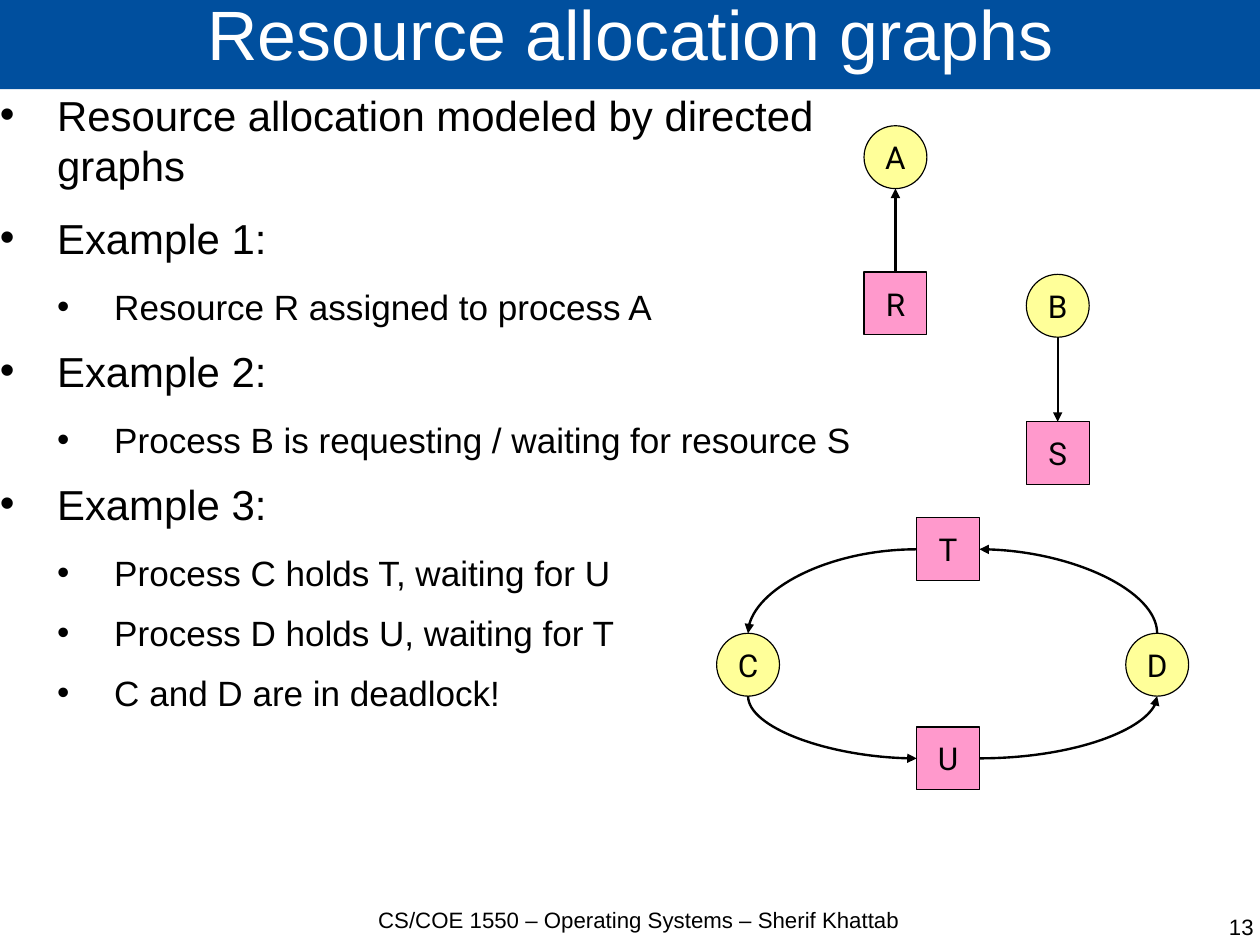
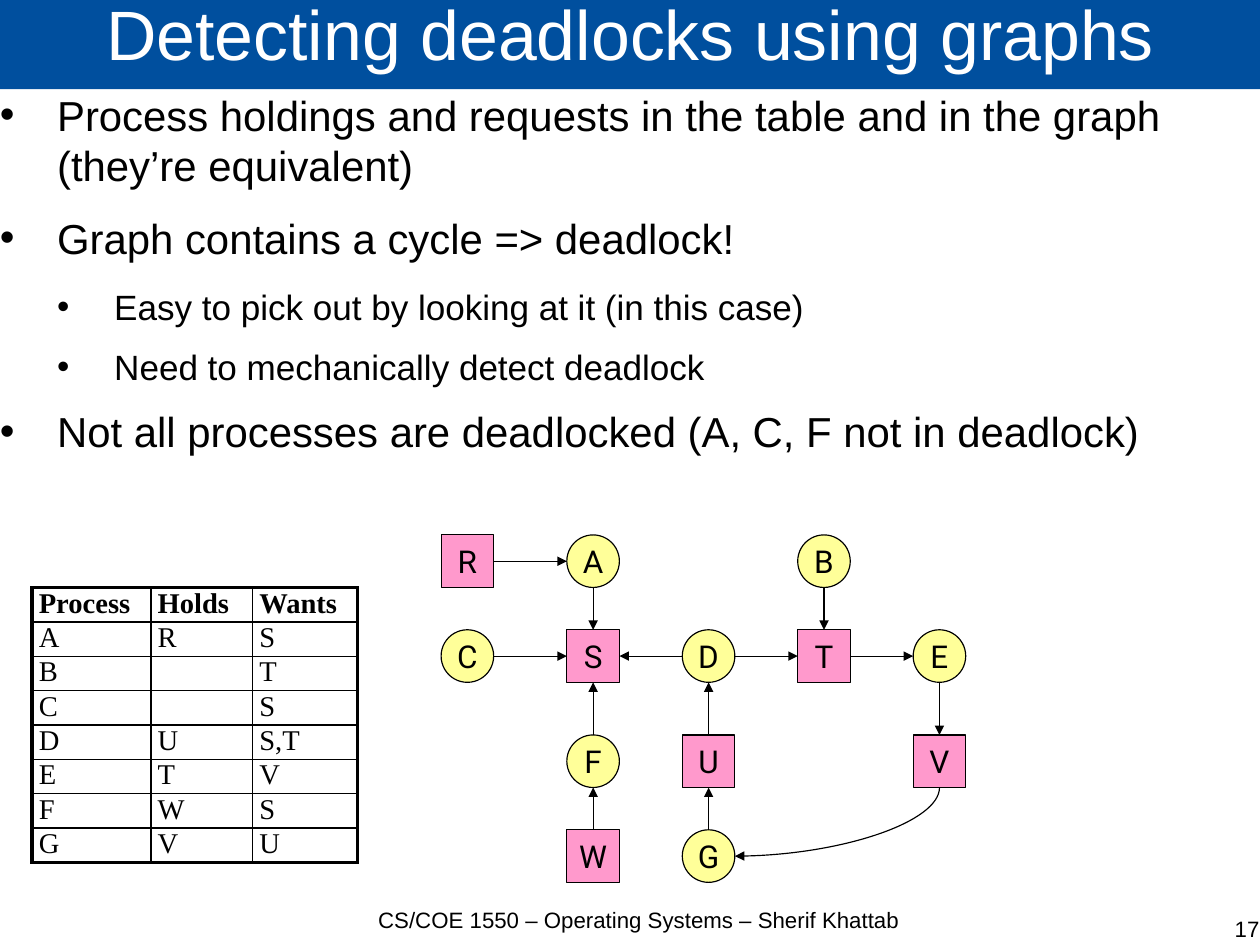
from dataclasses import dataclass
from lxml.etree import SubElement
from pptx import Presentation
from pptx.dml.color import RGBColor
from pptx.enum.shapes import MSO_CONNECTOR as CXN, MSO_SHAPE as SHP
from pptx.enum.text import MSO_ANCHOR as ANC, MSO_AUTO_SIZE as FIT, PP_ALIGN as AL
from pptx.oxml.ns import qn
from pptx.util import Emu, Inches as I, Pt


@dataclass(frozen=True)
class Theme:
    band: str = "004F9E"
    white: str = "FFFFFF"
    ink: str = "000000"
    process: str = "FFFF99"
    resource: str = "FF99CC"
    sans: str = "Arial"
    serif: str = "Times New Roman"
    label: str = "Roboto"
    title_size: float = 44
    body_sizes: tuple = (26.4, 22.1)
    body_gaps: tuple = (14.2, 11.4)
    label_size: float = 19.8
    cell_size: float = 18
    footer_size: float = 14


T = Theme()
FULL_W = 11.04
PROCESSES = "ABCDEFG"
SIDES = {"t": (0.5, 0), "l": (0, 0.5), "b": (0.5, 1), "r": (1, 0.5)}
STRAIGHT = ("tb", "bt", "lr", "rl")

cols = [3.86] + [4.96 + 1.01 * i for i in range(4)]
rows = [4.68, 5.51, 6.43, 7.26]
grid = ["RA.B.", "CSDTE", ".FU.V", ".WG.."]

holdings = [
    ("Process", "Holds", "Wants"),
    ("A", "R", "S"),
    ("B", "", "T"),
    ("C", "", "S"),
    ("D", "U", "S,T"),
    ("E", "T", "V"),
    ("F", "W", "S"),
    ("G", "V", "U"),
]

slides = [
    dict(
        title="Resource allocation graphs",
        number=("13", 8.44, 7.99, 2.53),
        body_w=7.46,
        body=[
            (0, "Resource allocation modeled by directed graphs"),
            (0, "Example 1:"),
            (1, "Resource R assigned to process A"),
            (0, "Example 2:"),
            (1, "Process B is requesting / waiting for resource S"),
            (0, "Example 3:"),
            (1, "Process C holds T, waiting for U"),
            (1, "Process D holds U, waiting for T"),
            (1, "C and D are in deadlock!"),
        ],
        node=0.55,
        weight=1.5,
        nodes={"A": (7.56, 1.1), "R": (7.56, 2.38), "B": (8.98, 2.4), "S": (8.98, 3.69),
               "T": (8.02, 4.53), "U": (8.02, 6.36), "C": (6.27, 5.54), "D": (9.85, 5.54)},
        edges=["RA tb", "BS bt", "TC lt", "DT tr", "UD rb", "CU bl"],
        table=None,
    ),
    dict(
        title="Detecting deadlocks using graphs",
        number=("17", 5.98, 8.01, 5.04),
        body_w=FULL_W,
        body=[
            (0, "Process holdings and requests in the table and in the graph (they’re equivalent)"),
            (0, "Graph contains a cycle => deadlock!"),
            (1, "Easy to pick out by looking at it (in this case)"),
            (1, "Need to mechanically detect deadlock"),
            (0, "Not all processes are deadlocked (A, C, F not in deadlock)"),
        ],
        node=0.46,
        weight=0.75,
        nodes={name: (x, y) for y, line in zip(rows, grid)
               for x, name in zip(cols, line) if name != "."},
        edges=["RA rl", "AS bt", "CS rl", "FS tb", "WF tb", "DS lr", "DT rl", "TE rl",
               "EV bt", "BT bt", "VG br", "GU tb", "UD tb"],
        table=holdings,
    ),
]


def write(p, text, size, font=T.sans, color=T.ink, bold=False):
    r = p.add_run()
    r.text = text
    r.font.size, r.font.name, r.font.bold = Pt(size), font, bold
    r.font.color.rgb = RGBColor.from_string(color)


def add_text(s, x, y, w, h):
    tf = s.shapes.add_textbox(I(x), I(y), I(w), I(h)).text_frame
    tf.word_wrap = True
    tf.margin_left = tf.margin_right = tf.margin_top = tf.margin_bottom = 0
    return tf


prs = Presentation()
prs.slide_width, prs.slide_height = Emu(10080625), Emu(7559675)

for page in slides:
    s = prs.slides.add_slide(prs.slide_layouts[5])

    sp = s.shapes.title
    sp.left, sp.top, sp.width, sp.height = I(0), I(-0.02), I(FULL_W), I(0.8)
    sp.fill.solid()
    sp.fill.fore_color.rgb = RGBColor.from_string(T.band)
    tf = sp.text_frame
    tf.margin_left = tf.margin_right = tf.margin_top = tf.margin_bottom = 0
    tf.vertical_anchor, tf.auto_size = ANC.MIDDLE, FIT.NONE
    p = tf.paragraphs[0]
    p.alignment, p.line_spacing = AL.CENTER, 0.69
    write(p, page["title"], T.title_size, color=T.white)

    tf = add_text(s, 0, 0.78, page["body_w"], 7.18)
    for i, (level, text) in enumerate(page["body"]):
        p = tf.add_paragraph() if i else tf.paragraphs[0]
        p.level, p.space_after = level, Pt(T.body_gaps[level])
        pPr = p._p.get_or_add_pPr()
        pPr.set("marL", str(I(0.5 * (level + 1))))
        pPr.set("indent", str(I(-0.5)))
        SubElement(SubElement(pPr, qn("a:buClr")), qn("a:srgbClr"), val=T.ink)
        SubElement(pPr, qn("a:buFont"), typeface=T.sans)
        SubElement(pPr, qn("a:buChar"), char="•")
        write(p, text, T.body_sizes[level])

    p = add_text(s, 3.07, 7.93, 5.04, 0.55).paragraphs[0]
    p.alignment = AL.CENTER
    write(p, "CS/COE 1550 – Operating Systems – Sherif Khattab", T.footer_size)
    number, x, y, w = page["number"]
    p = add_text(s, x, y, w, 0.55).paragraphs[0]
    p.alignment = AL.RIGHT
    write(p, number, T.footer_size)

    size = page["node"]
    ids = {}
    for name, (x, y) in page["nodes"].items():
        is_process = name in PROCESSES
        sp = s.shapes.add_shape(SHP.OVAL if is_process else SHP.RECTANGLE,
                                I(x), I(y), I(size), I(size))
        sp.shadow.inherit = False
        sp.fill.solid()
        sp.fill.fore_color.rgb = RGBColor.from_string(T.process if is_process else T.resource)
        sp.line.color.rgb = RGBColor.from_string(T.ink)
        sp.line.width = Pt(0.75)
        tf = sp.text_frame
        tf.word_wrap, tf.vertical_anchor = False, ANC.MIDDLE
        p = tf.paragraphs[0]
        p.alignment = AL.CENTER
        write(p, name, T.label_size, T.label)
        ids[name] = sp.shape_id

    for edge in page["edges"]:
        ends, sides = edge.split()
        (x1, y1), (x2, y2) = [
            [I(at + size * share) for at, share in zip(page["nodes"][name], SIDES[side])]
            for name, side in zip(ends, sides)]
        straight = sides in STRAIGHT
        cxn = s.shapes.add_connector(CXN.STRAIGHT if straight else CXN.CURVE, x1, y1, x2, y2)
        cxn.line.color.rgb = RGBColor.from_string(T.ink)
        cxn.line.width = Pt(page["weight"])
        spPr = cxn._element.spPr
        SubElement(spPr.find(qn("a:ln")), qn("a:tailEnd"), type="triangle")
        SubElement(spPr, qn("a:effectLst"))
        glue = cxn._element.find(".//" + qn("p:cNvCxnSpPr"))
        for tag, name, side in zip(("a:stCxn", "a:endCxn"), ends, sides):
            site = list(SIDES).index(side) * (2 if name in PROCESSES else 1)
            SubElement(glue, qn(tag), id=str(ids[name]), idx=str(site))
        if straight:
            continue
        spPr.find(qn("a:prstGeom")).set("prst", "curvedConnector2")
        dx, dy = x2 - x1, y2 - y1
        w, h = abs(dx), abs(dy)
        if sides[0] in "lr":
            turn, flip_h, flip_v = 180 * (dx < 0), False, (dx < 0) == (dy > 0)
        else:
            turn, flip_h, flip_v = 270 if dx > 0 else 90, (dx > 0) == (dy > 0), False
            w, h = h, w
        cxn.left, cxn.top = (x1 + x2 - w) // 2, (y1 + y2 - h) // 2
        cxn.width, cxn.height = w, h
        xfrm = spPr.find(qn("a:xfrm"))
        xfrm.set("rot", str(turn * 60000))
        xfrm.set("flipH", str(int(flip_h)))
        xfrm.set("flipV", str(int(flip_v)))

    if page["table"]:
        data = page["table"]
        widths = (1.04, 0.89, 0.92)
        last_row, last_col = len(data) - 1, len(widths) - 1
        tbl = s.shapes.add_table(len(data), len(widths), I(0.28), I(5.14),
                                 I(sum(widths)), I(0.29 * len(data))).table
        tbl.first_row = tbl.horz_banding = False
        for col, width in zip(tbl.columns, widths):
            col.width = I(width)
        for i, record in enumerate(data):
            for j, text in enumerate(record):
                cell = tbl.cell(i, j)
                cell.margin_left = cell.margin_right = I(0.06)
                cell.margin_top = cell.margin_bottom = 0
                tcPr = cell._tc.get_or_add_tcPr()
                outer = {"L": j == 0, "R": j == last_col, "T": i == 0, "B": i == last_row}
                for side, is_outer in outer.items():
                    ln = SubElement(tcPr, qn("a:ln" + side), w=str(Pt(2.25 if is_outer else 1)))
                    SubElement(SubElement(ln, qn("a:solidFill")), qn("a:srgbClr"), val=T.ink)
                cell.fill.background()
                write(cell.text_frame.paragraphs[0], text, T.cell_size, T.serif, bold=i == 0)

prs.save("out.pptx")
